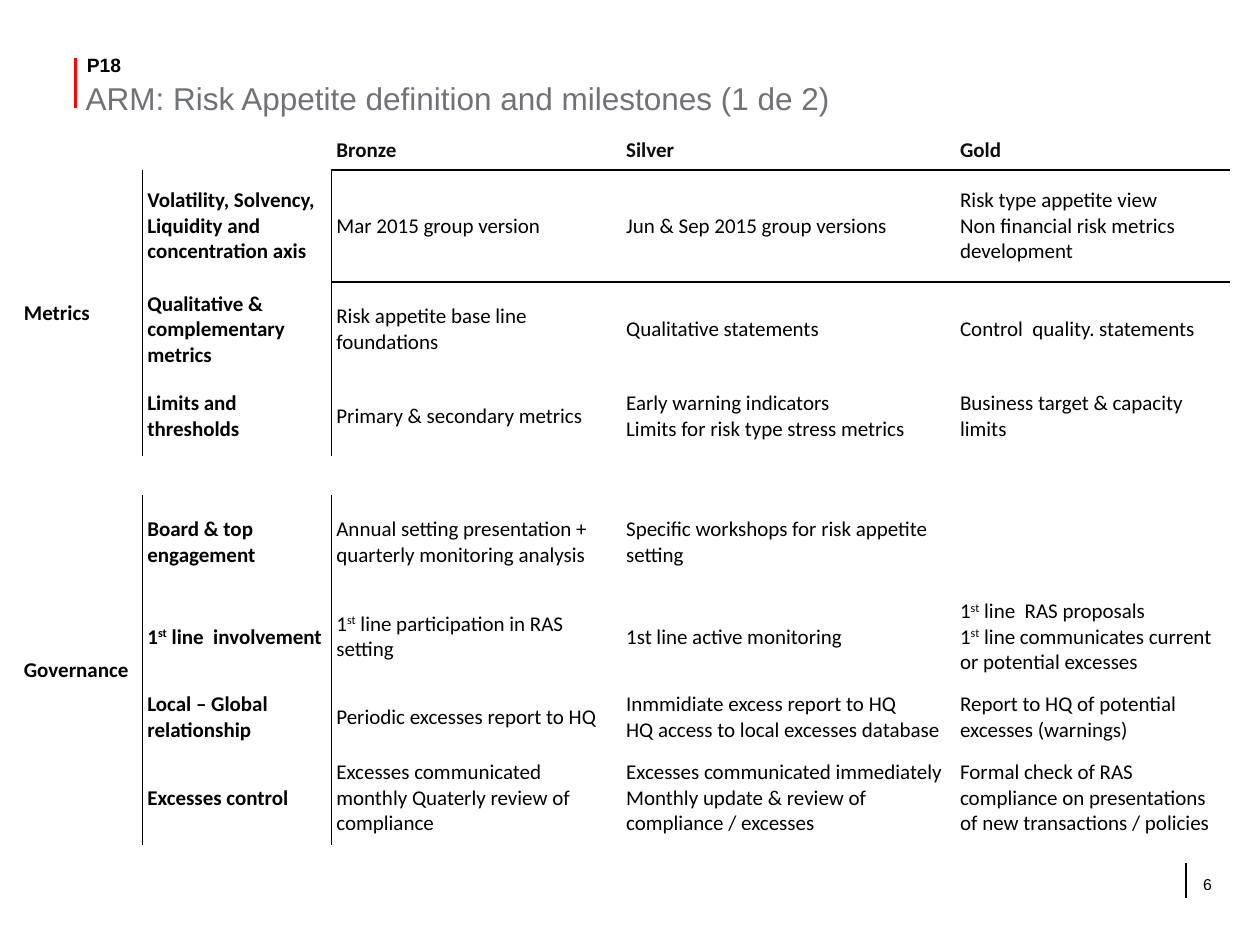
import dataclasses
import pptx
import pptx.dml.color
import pptx.enum.shapes
import pptx.enum.text
import pptx.oxml.ns
import pptx.util
from lxml import etree

Inches = pptx.util.Inches
Middle = pptx.enum.text.MSO_ANCHOR.MIDDLE
Top = pptx.enum.text.MSO_ANCHOR.TOP


@dataclasses.dataclass(frozen=True)
class Theme:
    """Colours, fonts and type sizes of the slide."""
    ink: str = "000000"
    head: str = "0D0D0D"
    grey: str = "707277"
    red: str = "FF0303"
    paper: str = "FFFFFF"
    sans: str = "Arial"
    body: str = "Calibri"
    title: float = 18
    code: float = 11
    cell: float = 12
    page: float = 9


THEME = Theme()
COLS = [0.98, 1.5, 2.3, 2.65, 2.18]
ROWS = [0.31, 0.89, 0.75, 0.63, 0.31, 0.75, 0.75, 0.53, 0.75]
GROUPS = [(1, 3), (5, 8)]
CELLS = [
    ["", "", "Bronze", "Silver", "Gold"],
    ["Metrics", "Volatility, Solvency,\nLiquidity and\nconcentration axis",
     "Mar 2015 group version", "Jun & Sep 2015 group versions",
     "Risk type appetite view\nNon financial risk metrics development"],
    ["", "Qualitative & complementary metrics", "Risk appetite base line foundations",
     "Qualitative statements", "Control  quality. statements"],
    ["", "Limits and thresholds", "Primary & secondary metrics",
     "Early warning indicators\nLimits for risk type stress metrics",
     "Business target & capacity limits"],
    [""] * 5,
    ["Governance", "Board & top engagement",
     "Annual setting presentation + quarterly monitoring analysis",
     "Specific workshops for risk appetite setting", ""],
    ["", "1^st^ line  involvement", "1^st^ line participation in RAS setting",
     "1st line active monitoring",
     "1^st^ line  RAS proposals\n1^st^ line communicates current or potential excesses"],
    ["", "Local – Global relationship", "Periodic excesses report to HQ",
     "Inmmidiate excess report to HQ\nHQ access to local excesses database",
     "Report to HQ of potential excesses (warnings)"],
    ["", "Excesses control", "Excesses communicated monthly Quaterly review of compliance",
     "Excesses communicated immediately\nMonthly update & review of compliance / excesses",
     "Formal check of RAS compliance on presentations of new transactions / policies"],
]


def rgb(code):
    """Turn a hex code into a colour."""
    return pptx.dml.color.RGBColor.from_string(code)


def style(run, face, size, tint, bold=False):
    """Format one run."""
    font = run.font
    font.name, font.size, font.bold = face, pptx.util.Pt(size), bold
    font.color.rgb = rgb(tint)


def place(shape, box):
    """Move a shape to a box in inches."""
    shape.left, shape.top, shape.width, shape.height = map(Inches, box)


def label(shape, box, text, look, inset=(0, 0), anchor=Top):
    """Fill a text shape with one styled line."""
    place(shape, box)
    frame = shape.text_frame
    frame.word_wrap = True
    frame.auto_size = pptx.enum.text.MSO_AUTO_SIZE.NONE
    frame.vertical_anchor = anchor
    frame.margin_left = frame.margin_right = Inches(inset[0])
    frame.margin_top = frame.margin_bottom = Inches(inset[1])
    frame.text = text
    line = frame.paragraphs[0]
    line.alignment = pptx.enum.text.PP_ALIGN.LEFT
    style(line.runs[0], *look)


def rule(slide, x, top, end, tint, width):
    """Draw an upright line."""
    kind = pptx.enum.shapes.MSO_CONNECTOR.STRAIGHT
    line = slide.shapes.add_connector(kind, *map(Inches, (x, top, x, end)))
    line.line.color.rgb = rgb(tint)
    line.line.width = pptx.util.Pt(width)
    etree.SubElement(line._element.spPr, pptx.oxml.ns.qn("a:effectLst"))


def header(slide, box):
    """Place the red rule, the code and the title."""
    x, y, wide, high = box
    rule(slide, x, y + 0.04, y + 0.44, THEME.red, 1.5)
    label(slide.shapes.add_textbox(0, 0, 0, 0), (x + 0.09, y, 5.06, 0.22), "P18",
          (THEME.sans, THEME.code, THEME.ink, True))
    label(slide.shapes.title, (x + 0.08, y + 0.18, wide - 0.08, high - 0.18),
          "ARM: Risk Appetite definition and milestones (1 de 2)",
          (THEME.sans, THEME.title, THEME.grey), anchor=Middle)


def footer(slide, box):
    """Place the page number and its rule."""
    x, y, wide, high = box
    rule(slide, x, y, y + 0.28, THEME.ink, 1)
    label(slide.shapes.add_textbox(0, 0, 0, 0), (x + 0.04, y + 0.04, wide - 0.04, high - 0.04),
          "6", (THEME.sans, THEME.page, THEME.ink), (0.1, 0.05))


def border(cell, side):
    """Give one side of a cell a thin line."""
    qn = pptx.oxml.ns.qn
    line = etree.SubElement(cell._tc.get_or_add_tcPr(), qn("a:ln" + side), w="12700")
    fill = etree.SubElement(line, qn("a:solidFill"))
    etree.SubElement(fill, qn("a:srgbClr"), val=THEME.ink)


def write(cell, text, tint, bold):
    """Write a cell; carets enclose superscripts."""
    cell.vertical_anchor = Middle
    cell.margin_left = cell.margin_right = Inches(0.04)
    cell.margin_top = cell.margin_bottom = Inches(0.04)
    cell.text_frame.text = text.replace("^", "")
    for para, line in zip(cell.text_frame.paragraphs, text.split("\n")):
        para.text = ""
        for part, words in enumerate(line.split("^")):
            if words:
                run = para.add_run()
                run.text = words
                style(run, THEME.body, THEME.cell, tint, bold)
                if part % 2:
                    run._r.get_or_add_rPr().set("baseline", "30000")
        if not line:
            para._p.get_or_add_endParaRPr().set("sz", str(THEME.cell * 100))


def grid(slide, box):
    """Build the milestone table."""
    shape = slide.shapes.add_table(len(ROWS), len(COLS), *map(Inches, box))
    table = shape.table
    table.first_row = table.horz_banding = False
    table._tbl.tblPr[0].text = "{2D5ABB26-0587-4C30-8999-92F81FD0307C}"
    for col, wide in zip(table.columns, COLS):
        col.width = Inches(wide)
    for row, high in zip(table.rows, ROWS):
        row.height = Inches(high)
    for r, row in enumerate(CELLS):
        group = any(first <= r <= last for first, last in GROUPS)
        for c, text in enumerate(row):
            cell = table.cell(r, c)
            write(cell, text, THEME.ink if r else THEME.head, r == 0 or c < 2)
            sides = {"L": group and c == 1, "R": group and c == 0,
                     "T": r == 1 and c > 1, "B": r == 0 and c > 1}
            for side, shown in sides.items():
                if shown:
                    border(cell, side)
            cell.fill.solid()
            cell.fill.fore_color.rgb = rgb(THEME.paper)
    for first, last in GROUPS:
        table.cell(first, 0).merge(table.cell(last, 0))


def main():
    """Build and save the slide."""
    deck = pptx.Presentation()
    deck.slide_width, deck.slide_height = Inches(10), Inches(7.5)
    slide = deck.slides.add_slide(deck.slide_layouts[5])
    header(slide, (0.6, 0.42, 7.43, 0.54))
    grid(slide, (0.15, 1.04, sum(COLS), sum(ROWS)))
    footer(slide, (9.41, 6.85, 0.46, 0.44))
    deck.save("out.pptx")


if __name__ == "__main__":
    main()
